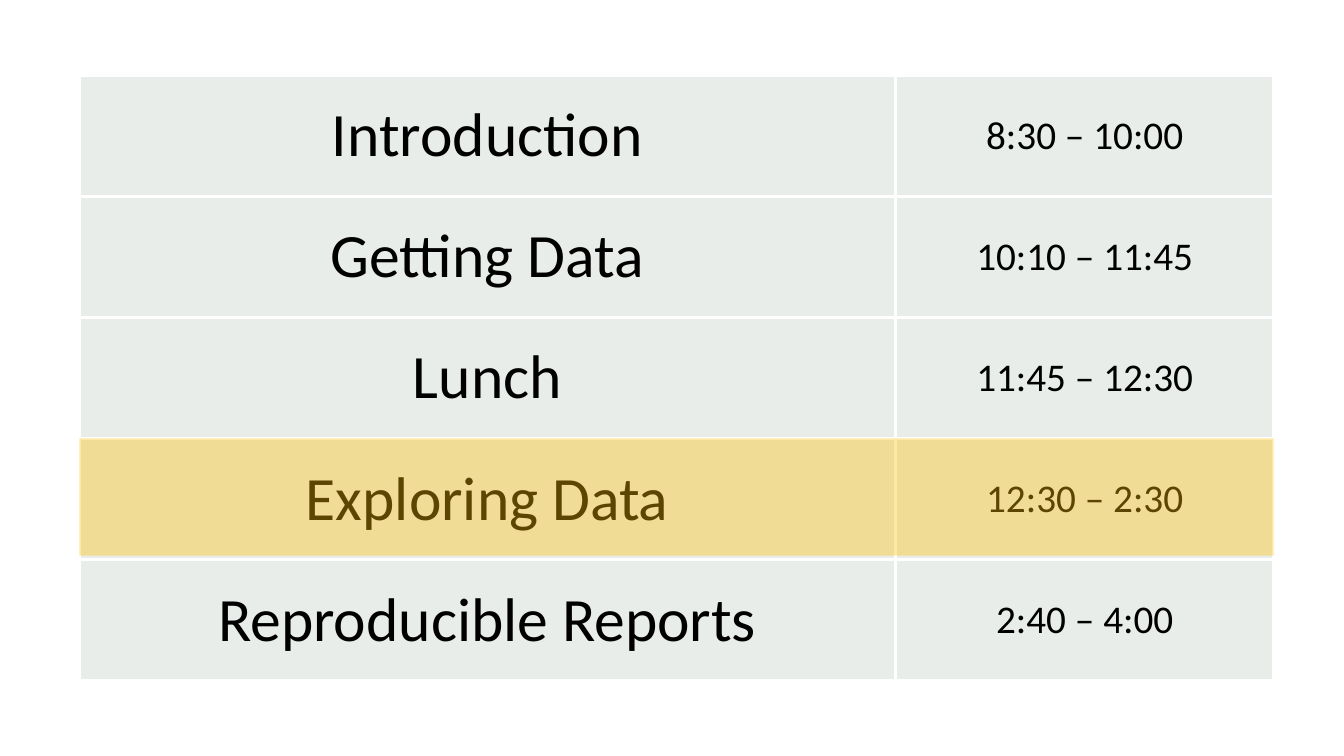
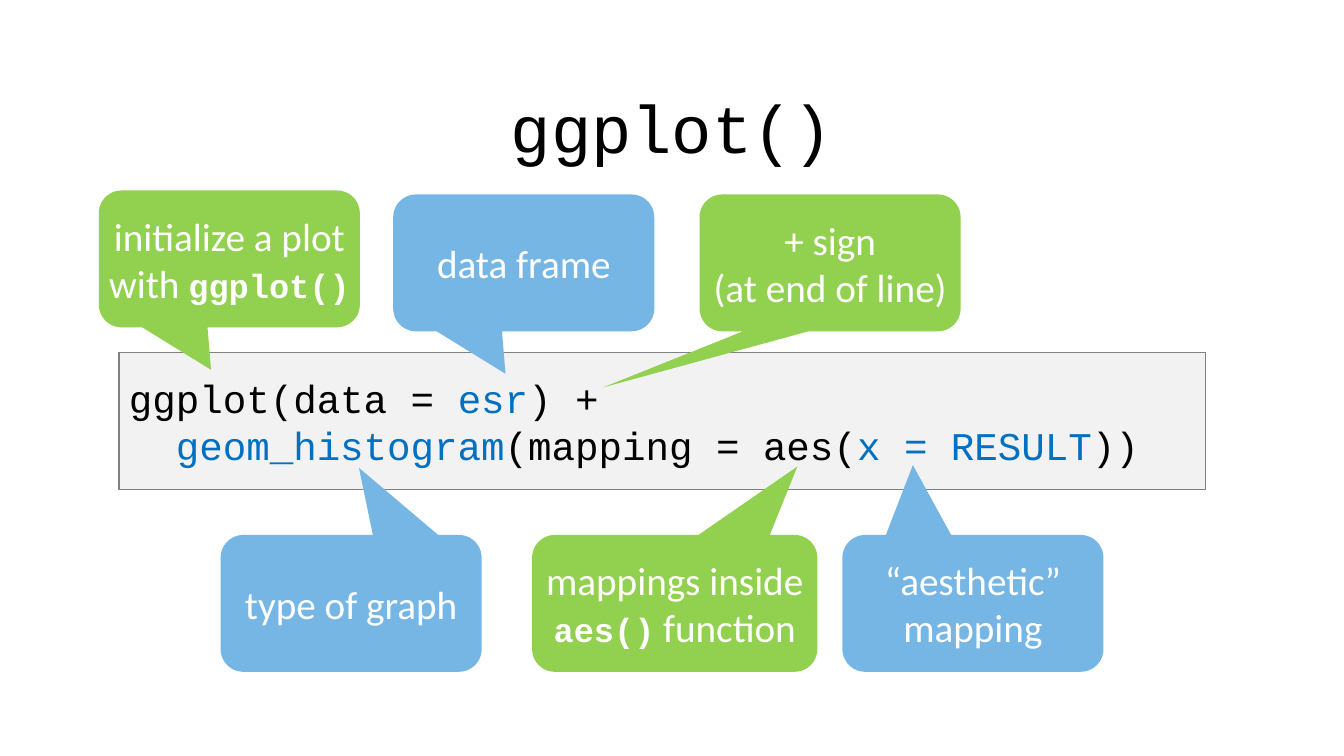
from dataclasses import dataclass

from lxml.etree import SubElement
from pptx import Presentation
from pptx.dml.color import RGBColor
from pptx.enum.shapes import MSO_SHAPE
from pptx.enum.text import MSO_ANCHOR, PP_ALIGN
from pptx.oxml.ns import qn
from pptx.util import Cm, Pt


@dataclass(frozen=True)
class Font:
    size: float
    face: str
    color: str
    bold: bool = False


@dataclass(frozen=True)
class Theme:
    white: str = "FFFFFF"
    cell: str = "E8EDE9"
    gold: str = "FFC000"
    panel: str = "F2F2F2"
    edge: str = "808080"
    blue: str = "75B6E5"
    green: str = "92D050"
    topic: Font = Font(44, "Calibri", "000000")
    hour: Font = Font(28, "Calibri", "000000")
    title: Font = Font(48, "Courier New", "000000")
    code: Font = Font(28, "Courier New", "000000")
    mark: Font = Font(28, "Courier New", "0070C0")
    note: Font = Font(28, "Calibri", "FFFFFF")
    call: Font = Font(24, "Courier New", "FFFFFF", True)


def style(target, font):
    target.size = Pt(font.size)
    target.name = font.face
    target.bold = font.bold
    target.color.rgb = RGBColor.from_string(font.color)


class Deck:
    def __init__(self, theme):
        self.theme = theme
        self.show = Presentation()
        self.show.slide_width = Cm(33.87)
        self.show.slide_height = Cm(19.05)
        self.slide = None

    def page(self):
        self.slide = self.show.slides.add_slide(self.show.slide_layouts[6])

    def letter(self, frame, lines, font, align=PP_ALIGN.CENTER):
        frame.word_wrap = True
        for index, line in enumerate(lines):
            para = frame.add_paragraph() if index else frame.paragraphs[0]
            para.alignment = align
            style(para.font, font)
            for part in [line] if isinstance(line, str) else line:
                text, own = (part, font) if isinstance(part, str) else part
                run = para.add_run()
                run.text = text
                if own != font:
                    style(run.font, own)

    def title(self, text):
        box = self.slide.shapes.add_textbox(
            0, Cm(2.06), self.show.slide_width, Cm(2.31))
        self.letter(box.text_frame, [text], self.theme.title)

    def block(self, kind, left, top, width, height, fill, edge=None):
        shape = self.slide.shapes.add_shape(
            kind, Cm(left), Cm(top), Cm(width), Cm(height))
        shape.shadow.inherit = False
        shape.fill.solid()
        shape.fill.fore_color.rgb = RGBColor.from_string(fill)
        if edge:
            shape.line.color.rgb = RGBColor.from_string(edge)
            shape.line.width = Pt(0.75)
        else:
            shape.line.fill.background()
        shape.text_frame.vertical_anchor = MSO_ANCHOR.MIDDLE
        return shape

    def code(self, left, top, width, height, lines):
        shape = self.block(MSO_SHAPE.RECTANGLE, left, top, width, height,
                           self.theme.panel, self.theme.edge)
        self.letter(shape.text_frame, lines, self.theme.code, PP_ALIGN.LEFT)

    def callout(self, left, top, width, fill, tip, lines):
        shape = self.block(MSO_SHAPE.ROUNDED_RECTANGULAR_CALLOUT,
                           left, top, width, 3.45, fill)
        for index, value in enumerate(tip):
            shape.adjustments[index] = value
        frame = shape.text_frame
        frame.margin_left = frame.margin_right = 0
        self.letter(frame, lines, self.theme.note)

    def glaze(self, left, top, width, height, fill, alpha):
        shape = self.block(MSO_SHAPE.RECTANGLE, left, top, width, height, fill)
        color = shape.element.spPr.find(qn("a:solidFill"))[0]
        SubElement(color, qn("a:alpha"), val=str(alpha * 1000))

    def border(self, cell):
        props = cell._tc.get_or_add_tcPr()
        for index, side in enumerate(("lnL", "lnR", "lnT", "lnB")):
            line = props.makeelement(qn("a:" + side), {"w": str(Pt(3))})
            fill = SubElement(line, qn("a:solidFill"))
            SubElement(fill, qn("a:srgbClr"), val=self.theme.white)
            props.insert(index, line)

    def table(self, left, top, widths, height, rows):
        table = self.slide.shapes.add_table(
            len(rows), len(widths), Cm(left), Cm(top),
            Cm(sum(widths)), Cm(height * len(rows))).table
        table.first_row = table.horz_banding = False
        for column, width in zip(table.columns, widths):
            column.width = Cm(width)
        fonts = self.theme.topic, self.theme.hour
        for row, texts in zip(table.rows, rows):
            row.height = Cm(height)
            for cell, text, font in zip(row.cells, texts, fonts):
                cell.fill.solid()
                cell.fill.fore_color.rgb = RGBColor.from_string(self.theme.cell)
                cell.vertical_anchor = MSO_ANCHOR.MIDDLE
                self.border(cell)
                self.letter(cell.text_frame, [text], font)


def agenda(deck):
    deck.page()
    left, top, height = 2, 1.9, 3.05
    widths = 20.57, 9.53
    rows = [
        ("Introduction", "8:30 – 10:00"),
        ("Getting Data", "10:10 – 11:45"),
        ("Lunch", "11:45 – 12:30"),
        ("Exploring Data", "12:30 – 2:30"),
        ("Reproducible Reports", "2:40 – 4:00"),
    ]
    deck.table(left, top, widths, height, rows)
    deck.glaze(left, top + 3 * height, sum(widths), 2.95, deck.theme.gold, 36)


def plot(deck):
    deck.page()
    theme = deck.theme
    mark, call = theme.mark, theme.call
    deck.code(3, 8.89, 27.38, 3.45, [
        ["ggplot(data = ", ("esr", mark), ") +"],
        [("  geom_histogram", mark), "(mapping = aes(",
         ("x = RESULT", mark), "))"],
    ])
    deck.title("ggplot()")
    wide, upper, lower = 6.58, 4.9, 13.48
    notes = [
        (9.91, upper, wide, theme.blue, (-0.07, 0.81), ["data frame"]),
        (17.63, upper, wide, theme.green, (-0.87, 0.91),
         ["+ sign", "(at end of line)"]),
        (5.56, lower, wide, theme.blue, (0.03, -0.99), ["type of graph"]),
        (13.41, lower, 7.19, theme.green, (0.43, -1),
         ["mappings inside", [("aes()", call), " function"]]),
        (21.23, lower, wide, theme.blue, (-0.23, -1.01),
         ["“aesthetic” mapping"]),
        (2.49, 4.8, wide, theme.green, (-0.07, 0.81),
         ["initialize a plot", ["with ", ("ggplot()", call)]]),
    ]
    for note in notes:
        deck.callout(*note)


def main():
    deck = Deck(Theme())
    agenda(deck)
    plot(deck)
    deck.show.save("out.pptx")


if __name__ == "__main__":
    main()
